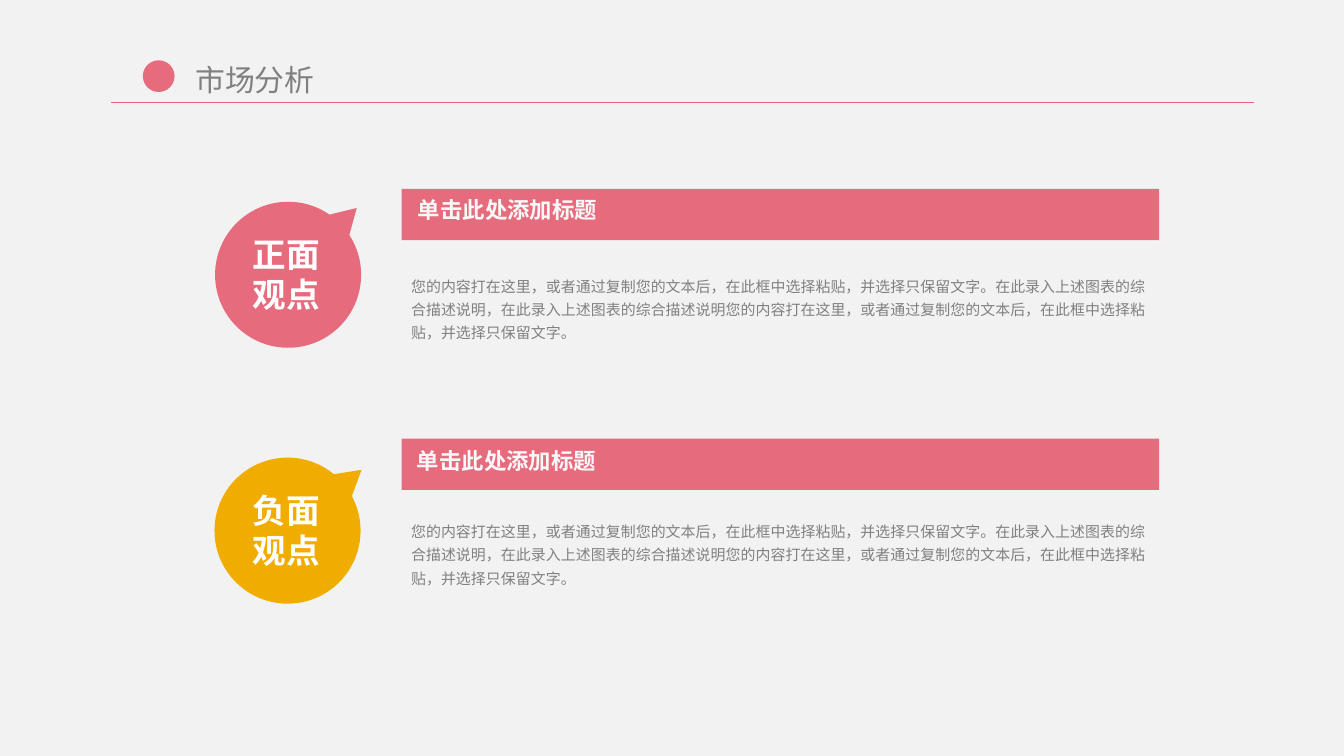
from dataclasses import dataclass
from math import cos, radians, sin, tan

from lxml import etree
from pptx import Presentation
from pptx.dml.color import RGBColor
from pptx.enum.shapes import MSO_CONNECTOR, MSO_SHAPE
from pptx.enum.text import MSO_ANCHOR, MSO_AUTO_SIZE, PP_ALIGN
from pptx.oxml.ns import qn
from pptx.util import Cm, Pt

STRAIGHT = MSO_CONNECTOR.STRAIGHT
OVAL, RECTANGLE = MSO_SHAPE.OVAL, MSO_SHAPE.RECTANGLE
TOP, MIDDLE = MSO_ANCHOR.TOP, MSO_ANCHOR.MIDDLE
LEFT, CENTER = PP_ALIGN.LEFT, PP_ALIGN.CENTER
FIXED = MSO_AUTO_SIZE.NONE


@dataclass(frozen=True)
class Theme:
    font: str = "Noto Sans CJK SC"
    background: str = "F2F2F2"
    pink: str = "E66C7D"
    rule: str = "E46778"
    gold: str = "F0AD00"
    grey: str = "808080"
    heading: str = "F8F8F8"
    white: str = "FFFFFF"
    title_size: int = 16
    label_size: int = 18
    heading_size: int = 12
    body_size: int = 8


THEME = Theme()

TITLE = "市场分析"
HEADING = "单击此处添加标题"
BODY = (
    "您的内容打在这里，或者通过复制您的文本后，在此框中选择粘贴，并选择只保留文字。"
    "在此录入上述图表的综合描述说明，在此录入上述图表的综合描述说明"
    "您的内容打在这里，或者通过复制您的文本后，在此框中选择粘贴，并选择只保留文字。"
)
VIEWPOINTS = [
    dict(label=["正面", "观点"], color=THEME.pink, bar_top=3.57, heading_at=(7.65, 3.58),
         body_top=5.04, bubble_top=3.45, label_top=4.67, tilt=45.8),
    dict(label=["负面", "观点"], color=THEME.gold, bar_top=8.29, heading_at=(7.63, 8.33),
         body_top=9.68, bubble_top=8.3, label_top=9.51, tilt=50.6),
]

COLUMN_LEFT, COLUMN_WIDTH = 7.59, 14.32
BAR_HEIGHT, BODY_HEIGHT = 0.97, 1.52
BUBBLE_LEFT, BUBBLE_RADIUS, TAIL_REACH = 4.22, 1.38, 1.81
ARC_ANGLES = (-78.8, 0, 90, 180, 258.8)
NARROW_INSETS = (0.18, 0.1)
WIDE_INSETS = (0.25, 0.13)


def cm(*lengths):
    return [Cm(length) for length in lengths]


def paint(shape, color):
    shape.shadow.inherit = False
    shape.fill.solid()
    shape.fill.fore_color.rgb = RGBColor.from_string(color)
    shape.line.fill.background()


def write(box, lines, *, size, color, bold=False, align=LEFT, anchor=TOP,
          insets=NARROW_INSETS, wrap=True, spacing=1.0):
    frame = box.text_frame
    frame.auto_size = FIXED
    frame.word_wrap = wrap
    frame.vertical_anchor = anchor
    frame.margin_left = frame.margin_right = Cm(insets[0])
    frame.margin_top = frame.margin_bottom = Cm(insets[1])
    frame.text = "\n".join(lines)
    for paragraph in frame.paragraphs:
        paragraph.alignment = align
        paragraph.line_spacing = spacing
        for run in paragraph.runs:
            run.font.size = Pt(size)
            run.font.bold = bold
            run.font.name = THEME.font
            run.font.color.rgb = RGBColor.from_string(color)
            east_asian = etree.SubElement(run.font._element, qn("a:ea"))
            east_asian.set("typeface", THEME.font)


def add_bubble(shapes, top, tilt, color):
    center_x, center_y = BUBBLE_LEFT + BUBBLE_RADIUS, top + TAIL_REACH

    def on_circle(angle, pull=0):
        turn = radians(angle)
        return cm(center_x + BUBBLE_RADIUS * (cos(turn) - pull * sin(turn)),
                  center_y + BUBBLE_RADIUS * (sin(turn) + pull * cos(turn)))

    outline = shapes.build_freeform(*cm(center_x, top))
    outline.add_line_segments([on_circle(angle) for angle in ARC_ANGLES], close=True)
    bubble = outline.convert_to_shape()

    arcs = list(bubble._element.iter(qn("a:lnTo")))[1:len(ARC_ANGLES)]
    for segment, start, end in zip(arcs, ARC_ANGLES, ARC_ANGLES[1:]):
        pull = 4 / 3 * tan(radians(end - start) / 4)
        segment.tag = qn("a:cubicBezTo")
        for position, (x, y) in enumerate([on_circle(start, pull), on_circle(end, -pull)]):
            control = etree.Element(qn("a:pt"), x=str(x - bubble.left), y=str(y - bubble.top))
            segment.insert(position, control)

    bubble.rotation = tilt
    paint(bubble, color)


def add_header(slide):
    title = slide.shapes.title
    title.left, title.top, title.width, title.height = cm(3.51, 1.07, 4.98, 0.86)
    write(title, [TITLE], size=THEME.title_size, color=THEME.grey)

    rule = slide.shapes.add_connector(STRAIGHT, *cm(2.1, 1.94, 23.7, 1.94))
    rule.line.color.rgb = RGBColor.from_string(THEME.rule)
    rule.line.width = Pt(0.75)
    etree.SubElement(rule._element.spPr, qn("a:effectLst"))

    paint(slide.shapes.add_shape(OVAL, *cm(2.7, 1.14, 0.6, 0.6)), THEME.pink)


def add_viewpoint(shapes, view):
    banner = shapes.add_group_shape().shapes
    bar = banner.add_shape(
        RECTANGLE, *cm(COLUMN_LEFT, view["bar_top"], COLUMN_WIDTH, BAR_HEIGHT))
    paint(bar, THEME.pink)
    heading = banner.add_textbox(*cm(*view["heading_at"], 11.53, 0.77))
    write(heading, [HEADING], size=THEME.heading_size, color=THEME.heading,
          bold=True, insets=WIDE_INSETS)

    body = shapes.add_textbox(
        *cm(COLUMN_LEFT, view["body_top"], COLUMN_WIDTH, BODY_HEIGHT))
    write(body, [BODY], size=THEME.body_size, color=THEME.grey, spacing=1.3)

    add_bubble(shapes, view["bubble_top"], view["tilt"], view["color"])
    label = shapes.add_textbox(*cm(4.52, view["label_top"], 1.78, 1.02))
    write(label, view["label"], size=THEME.label_size, color=THEME.white,
          bold=True, align=CENTER, anchor=MIDDLE, wrap=False)


def main():
    deck = Presentation()
    deck.slide_width, deck.slide_height = cm(25.4, 14.29)
    slide = deck.slides.add_slide(deck.slide_layouts[5])
    slide.background.fill.solid()
    slide.background.fill.fore_color.rgb = RGBColor.from_string(THEME.background)
    add_header(slide)
    for view in VIEWPOINTS:
        add_viewpoint(slide.shapes, view)
    deck.save("out.pptx")


if __name__ == "__main__":
    main()
